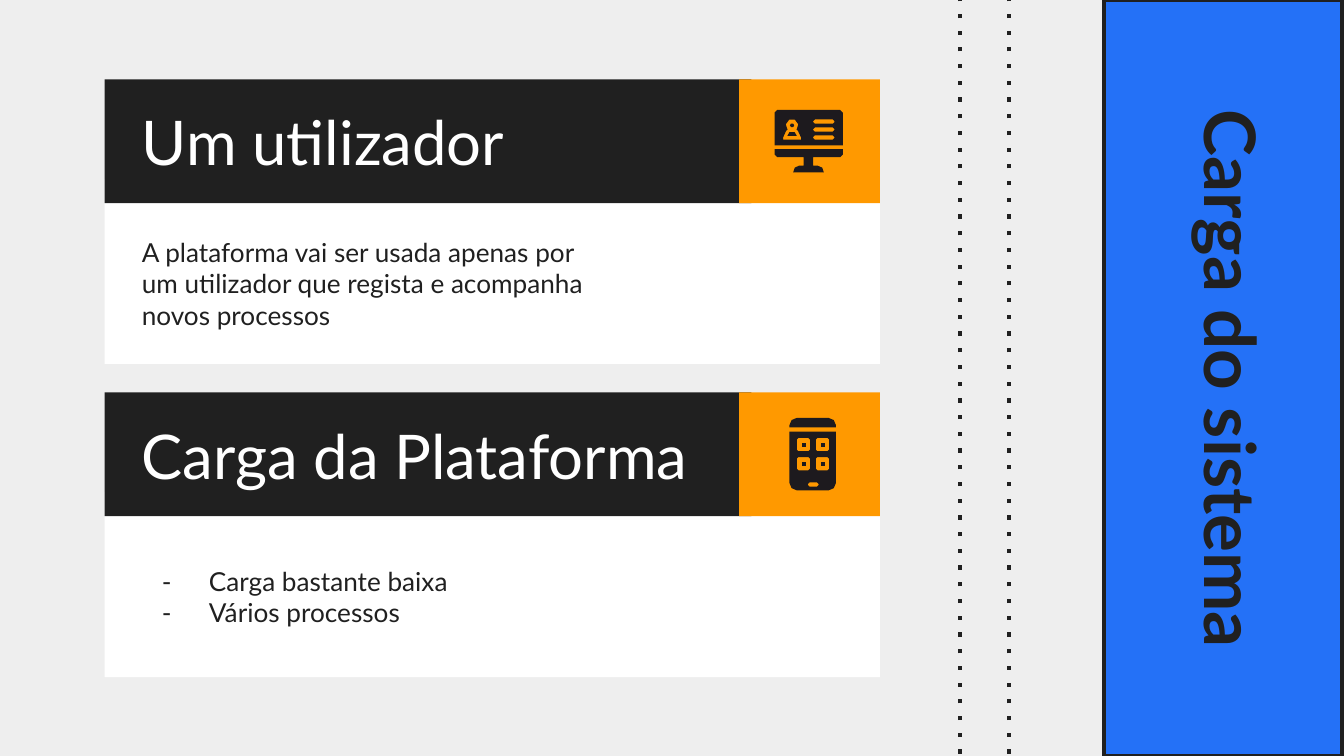
from math import cos, radians, sin

from lxml import etree
from pptx import Presentation
from pptx import util as u
from pptx.dml.color import RGBColor
from pptx.enum import shapes, text
from pptx.oxml.ns import qn

DARK, WHITE, ORANGE, BLUE, GREY = "202020", "FFFFFF", "FF9900", "2471F7", "EEEEEE"
ICON = "1D1A1E"
WIDTH, HEIGHT = 25.4, 14.29
CARD_X, CARD_W, HEAD_W, HEAD_H = 1.98, 14.65, 12.22, 2.34
TILE_X, TILE_W = 13.97, 2.66
TEXT_X = 2.43


def color(value):
    return RGBColor.from_string(value)


def arc(cx, cy, r, start, end, steps):
    """Points on an arc; degrees run clockwise from the right."""
    angles = [radians(start + (end - start) * i / steps) for i in range(steps + 1)]
    return [(cx + r * cos(a), cy + r * sin(a)) for a in angles]


def box(x, y, w, h, top=0, bottom=0):
    """Rectangle outline with separate radii for its top and bottom corners."""
    corners = [(x + top, y + top, top, 180),
               (x + w - top, y + top, top, 270),
               (x + w - bottom, y + h - bottom, bottom, 0),
               (x + bottom, y + h - bottom, bottom, 90)]
    points = []
    for cx, cy, r, start in corners:
        steps = 2 if r > 0.1 else 1
        points += arc(cx, cy, r, start, start + 90, steps) if r else [(cx, cy)]
    return points


def pill(x, y, w, h):
    return box(x, y, w, h, 0.03, 0.03)


def phone_icon():
    cells = [(x, y) for y in (0.86, 1.22) for x in (1.09, 1.45)]
    body = [box(0.95, 0.74, 0.88, 1.11, 0, 0.14), pill(1.3, 1.7, 0.2, 0.08)]
    body += [box(x, y, 0.25, 0.25, 0.03, 0.03) for x, y in cells]
    dots = [[box(x + 0.09, y + 0.09, 0.08, 0.08)] for x, y in cells]
    return [body, *dots, [box(0.95, 0.48, 0.88, 0.18, 0.14)]]


def monitor_icon():
    person = (arc(1, 0.87, 0.12, 135, 405, 5) + arc(1, 1.1, 0.17, -50, 0, 1)
              + [(1.17, 1.14), (0.83, 1.14)] + arc(1, 1.1, 0.17, 180, 230, 1))
    rows = [pill(1.4, y, 0.4, 0.08) for y in (0.76, 0.91, 1.06)]
    screen = [box(0.67, 0.58, 1.29, 0.67, 0.05), person, *rows]
    stand = [(0.67, 1.32), (0.67, 1.42), (0.72, 1.47), (1.22, 1.47), (1.22, 1.63),
             (1.14, 1.63), (1.05, 1.67), (1.02, 1.76), (1.6, 1.76), (1.57, 1.67),
             (1.48, 1.63), (1.4, 1.63), (1.4, 1.47), (1.91, 1.47), (1.96, 1.42),
             (1.96, 1.32)]
    head = arc(1, 0.87, 0.04, 0, 300, 5)
    shoulders = [(0.91, 1.07), (0.95, 1), (1.05, 1), (1.09, 1.07)]
    return [[head], [shoulders], screen, [stand]]


class Deck:
    def __init__(self, font="Lato"):
        self.font = font
        self.prs = Presentation()
        self.prs.slide_width, self.prs.slide_height = u.Cm(WIDTH), u.Cm(HEIGHT)
        self.s = self.prs.slides.add_slide(self.prs.slide_layouts[6])
        self.s.background.fill.solid()
        self.s.background.fill.fore_color.rgb = color(GREY)

    def paint(self, sp, fill, line=None):
        sp.shadow.inherit = False
        sp.fill.solid()
        sp.fill.fore_color.rgb = color(fill)
        if line:
            sp.line.color.rgb = color(line)
            sp.line.width = u.Pt(2.25)
        else:
            sp.line.fill.background()

    def rect(self, x, y, w, h, fill, line=None):
        sp = self.s.shapes.add_shape(shapes.MSO_SHAPE.RECTANGLE,
                                     u.Cm(x), u.Cm(y), u.Cm(w), u.Cm(h))
        self.paint(sp, fill, line)

    def outline(self, contours, dx, dy):
        """One filled shape; contours inside the first one are holes."""
        paths = [[(u.Cm(x + dx), u.Cm(y + dy)) for x, y in c] for c in contours]
        builder = self.s.shapes.build_freeform(*paths[0][0])
        builder.add_line_segments(paths[0][1:])
        for path in paths[1:]:
            builder.move_to(*path[0])
            builder.add_line_segments(path[1:])
        self.paint(builder.convert_to_shape(), ICON)

    def dotted_line(self, x):
        cxn = self.s.shapes.add_connector(
            shapes.MSO_CONNECTOR.STRAIGHT,
            u.Cm(x), u.Cm(HEIGHT + 0.27), u.Cm(x), u.Cm(-0.27))
        cxn.line.color.rgb = color(DARK)
        cxn.line.width = u.Pt(2.25)
        spPr = cxn._element.spPr
        etree.SubElement(spPr.find(qn("a:ln")), qn("a:prstDash"), val="dot")
        etree.SubElement(spPr, qn("a:effectLst"))

    def text(self, content, x, y, w, h, size=14, fill=DARK, bold=False,
             align=None, spacing=None, inset=0.25, rotation=0, bullet=None):
        sp = self.s.shapes.add_textbox(u.Cm(x), u.Cm(y), u.Cm(w), u.Cm(h))
        sp.rotation = rotation
        tf = sp.text_frame
        tf.word_wrap = True
        tf.vertical_anchor = text.MSO_ANCHOR.MIDDLE
        tf.margin_left = tf.margin_right = u.Cm(inset)
        tf.margin_top = tf.margin_bottom = u.Cm(inset)
        for i, item in enumerate(content.split("\n")):
            p = tf.add_paragraph() if i else tf.paragraphs[0]
            p.alignment, p.line_spacing = align, spacing
            r = p.add_run()
            r.text = item
            r.font.name, r.font.size, r.font.bold = self.font, u.Pt(size), bold
            r.font.color.rgb = color(fill)
            if bullet:
                pPr = p._p.get_or_add_pPr()
                pPr.set("marL", str(u.Cm(1.27)))
                pPr.set("indent", str(u.Cm(-0.89)))
                clr = etree.SubElement(pPr, qn("a:buClr"))
                etree.SubElement(clr, qn("a:srgbClr"), val=fill)
                etree.SubElement(pPr, qn("a:buFont"), typeface=self.font)
                etree.SubElement(pPr, qn("a:buChar"), char=bullet)

    def card(self, y, title, body, icon, bullet=None):
        self.rect(CARD_X, y + 1.88, CARD_W, 3.5, WHITE)
        self.rect(CARD_X, y, HEAD_W, HEAD_H, DARK)
        self.rect(TILE_X, y, TILE_W, HEAD_H, ORANGE)
        self.text(title, TEXT_X, y, 11.81, HEAD_H, size=33, fill=WHITE)
        self.text(body, TEXT_X, y + HEAD_H, 9.27, 3.04, bullet=bullet)
        for contours in icon:
            self.outline(contours, TILE_X, y)


def main():
    deck = Deck()
    deck.card(1.5, "Um utilizador",
              "A plataforma vai ser usada apenas por um utilizador "
              "que regista e acompanha novos processos", monitor_icon())
    deck.card(7.42, "Carga da Plataforma",
              "Carga bastante baixa\nVários processos", phone_icon(), bullet="-")
    for x in (18.14, 19.07):
        deck.dotted_line(x)
    deck.rect(20.86, 0, 4.5, HEIGHT, BLUE, DARK)
    deck.text("Carga do sistema", 17.5, 4.9, 11.3, 4.52, size=38, bold=True,
              align=text.PP_ALIGN.CENTER, spacing=0.8, inset=0, rotation=90)
    deck.prs.save("out.pptx")


if __name__ == "__main__":
    main()
